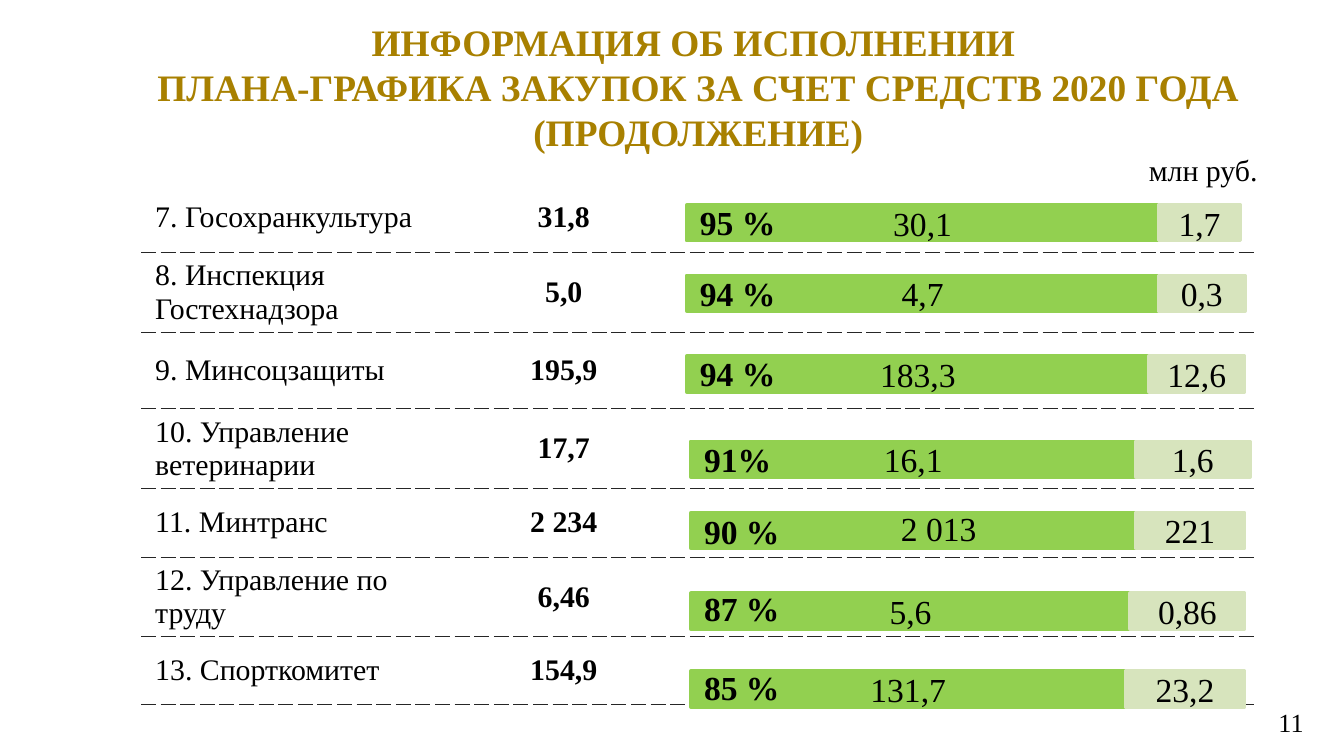
from pptx import Presentation
from pptx.dml.color import RGBColor
from pptx.enum.shapes import MSO_SHAPE
from pptx.enum.text import MSO_ANCHOR, MSO_AUTO_SIZE, PP_ALIGN
from pptx.oxml.ns import qn
from pptx.util import Pt
from lxml import etree

PX = 4572  # 200 px to the inch
RECTANGLE = MSO_SHAPE.RECTANGLE
MIDDLE, TOP = MSO_ANCHOR.MIDDLE, MSO_ANCHOR.TOP
LEFT, CENTER, RIGHT = PP_ALIGN.LEFT, PP_ALIGN.CENTER, PP_ALIGN.RIGHT
BLACK = RGBColor(0x00, 0x00, 0x00)
WHITE = RGBColor(0xFF, 0xFF, 0xFF)
GOLD = RGBColor(0xA8, 0x80, 0x00)
GREEN = RGBColor(0x92, 0xD0, 0x50)
PALE_GREEN = RGBColor(0xD7, 0xE4, 0xBD)
DARK_GREY = RGBColor(0x26, 0x26, 0x26)

TITLE_LINES = [
    "ИНФОРМАЦИЯ ОБ ИСПОЛНЕНИИ ",
    "ПЛАНА-ГРАФИКА ЗАКУПОК ЗА СЧЕТ СРЕДСТВ 2020 ГОДА",
    "(ПРОДОЛЖЕНИЕ)",
]
# name, total, row height
TABLE_ROWS = [
    ("7. Госохранкультура", "31,8", 104),
    ("8. Инспекция Гостехнадзора", "5,0", 98),
    ("9. Минсоцзащиты", "195,9", 114),
    ("10. Управление ветеринарии", "17,7", 96),
    ("11. Минтранс", "2 234", 102),
    ("12. Управление по труду", "6,46", 108),
    ("13. Спорткомитет", "154,9", 100),
]
COLUMN_WIDTHS = [444, 368, 842]
CELL_MARGIN = 6
# percent, done, rest, then left, split, right, top, percent label top
BARS = [
    ("95 %", "30,1", "1,7", 1022, 1724, 1846, 305, 291),
    ("94 %", "4,7", "0,3", 1022, 1724, 1853, 410, 396),
    ("94 %", "183,3", "12,6", 1022, 1710, 1852, 530, 515),
    ("91%", "16,1", "1,6", 1028, 1690, 1860, 657, 643),
    ("90 %", "", "221", 1028, 1690, 1852, 763, 750),
    ("87 %", "5,6", "0,86", 1028, 1682, 1852, 883, 865),
    ("85 %", "131,7", "23,2", 1028, 1675, 1852, 999, 983),
]
BAR_HEIGHT = 53


def write(frame, lines, size, align=LEFT, anchor=TOP, bold=False, color=BLACK):
    frame.vertical_anchor = anchor
    font_format = {"name": "Times New Roman", "size": Pt(size), "bold": bold}
    for index, line in enumerate(lines):
        para = frame.add_paragraph() if index else frame.paragraphs[0]
        para.alignment = align
        span = para.add_run()
        span.text = line
        span.font.color.rgb = color
        for key, value in font_format.items():
            setattr(span.font, key, value)


def add_label(text, left, top, width, height, size, wrap=False, **style):
    box = page.shapes.add_textbox(left * PX, top * PX, width * PX, height * PX)
    box.text_frame.word_wrap = wrap
    write(box.text_frame, [text], size, **style)
    return box


deck = Presentation()
deck.slide_width, deck.slide_height = 2000 * PX, 1125 * PX
page = deck.slides.add_slide(deck.slide_layouts[5])

title = page.shapes.title
title_place = {"left": 173, "top": 74, "width": 1732, "height": 110}
for side, length in title_place.items():
    setattr(title, side, length * PX)
title.text_frame.auto_size = MSO_AUTO_SIZE.NONE
write(title.text_frame, TITLE_LINES, 20, CENTER, MIDDLE, True, GOLD)

number = add_label("11", 1846, 1040, 108, 68, 14, True, align=RIGHT, anchor=MIDDLE)
for side, inset in {"left": 14, "right": 14, "top": 8, "bottom": 8}.items():
    setattr(number.text_frame, f"margin_{side}", inset * PX)

# Names and totals, with dashed lines between the rows
table = page.shapes.add_table(
    len(TABLE_ROWS), len(COLUMN_WIDTHS), 211 * PX, 272 * PX,
    sum(COLUMN_WIDTHS) * PX, sum(row[2] for row in TABLE_ROWS) * PX).table
table.first_row = table.horz_banding = False
for column, width in zip(table.columns, COLUMN_WIDTHS):
    column.width = width * PX

for row_index, (name, total, height) in enumerate(TABLE_ROWS):
    table.rows[row_index].height = height * PX
    for column_index in range(len(COLUMN_WIDTHS)):
        cell = table.cell(row_index, column_index)
        dashed_sides = ("lnT", "lnB") if row_index else ("lnB",)
        properties = cell._tc.get_or_add_tcPr()
        for side in ("lnL", "lnR", "lnT", "lnB"):
            dashed = side in dashed_sides
            border = etree.SubElement(properties, qn(f"a:{side}"), w=str(Pt(0.5 if dashed else 1)))
            fill = etree.SubElement(border, qn("a:solidFill"))
            etree.SubElement(fill, qn("a:srgbClr"), val=str(DARK_GREY if dashed else WHITE))
            etree.SubElement(border, qn("a:prstDash"), val="lgDash" if dashed else "solid")
        cell.fill.background()
        cell.vertical_anchor = MIDDLE
        cell.margin_top = cell.margin_bottom = CELL_MARGIN * PX
    write(table.cell(row_index, 0).text_frame, [name], 16, anchor=MIDDLE)
    write(table.cell(row_index, 1).text_frame, [total], 16, CENTER, MIDDLE, True)

# Done and remaining parts of each plan
for percent, done, rest, left, split, right, top, label_top in BARS:
    for value, start, end, color in ((done, left, split, GREEN), (rest, split, right, PALE_GREEN)):
        bar = page.shapes.add_shape(
            RECTANGLE, start * PX, top * PX, (end - start) * PX, BAR_HEIGHT * PX)
        bar.shadow.inherit = False
        bar.fill.solid()
        bar.fill.fore_color.rgb = color
        bar.line.color.rgb = color
        bar.line.width = Pt(2)
        if value:
            write(bar.text_frame, [value], 18, CENTER, MIDDLE)
    add_label(percent, left, label_top, 154, 80, 18, bold=True)

add_label("2 013", 1321, 746, 206, 80, 18, True)
add_label("млн руб.", 1690, 216, 204, 74, 16)

deck.save("out.pptx")
